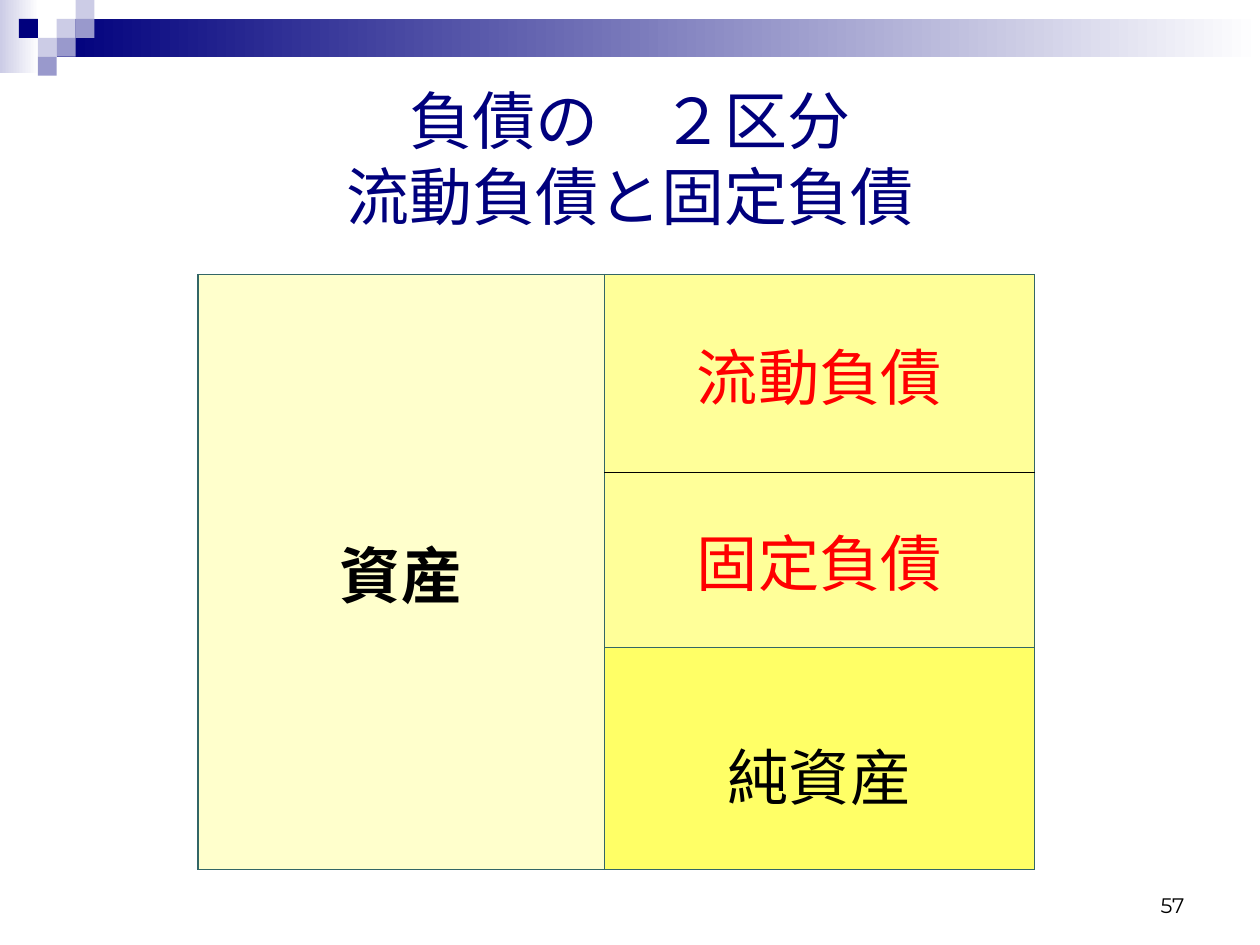
from pptx import Presentation
from pptx.dml.color import RGBColor
from pptx.enum.shapes import MSO_SHAPE as SHAPE
from pptx.enum.text import MSO_ANCHOR as ANCHOR, MSO_AUTO_SIZE as AUTO, PP_ALIGN as ALIGN
from pptx.oxml.ns import qn
from pptx.util import Inches, Pt
from lxml.etree import SubElement

NAVY, LILAC, MAUVE, TEAL = "00007D", "CCCCE6", "9999CC", "336666"
BLACK, WHITE, RED = "000000", "FFFFFF", "FF0000"


def rgb(value):
    return RGBColor.from_string(value)


class Deck:
    font = "Arial"

    def __init__(self):
        self.prs = Presentation()
        self.prs.slide_width, self.prs.slide_height = Inches(10), Inches(7.5)
        self.s = self.prs.slides.add_slide(self.prs.slide_layouts[5])

    def run(self, p, text, size, color, bold=False, font=None):
        r = p.add_run()
        r.text = text
        r.font.name = font or self.font
        r.font.size = Pt(size)
        r.font.bold = bold
        r.font.color.rgb = rgb(color)

    def title(self, lines, x, y, w, h):
        sp = self.s.shapes.title
        sp.left, sp.top, sp.width, sp.height = map(Inches, (x, y, w, h))
        tf = sp.text_frame
        tf.auto_size = AUTO.NONE
        tf.vertical_anchor = ANCHOR.MIDDLE
        p = tf.paragraphs[0]
        p.alignment = ALIGN.CENTER
        for i, line in enumerate(lines):
            if i:
                p.add_line_break()
            self.run(p, line, 36, NAVY)

    def rect(self, x, y, w, h, color, fade_to=None):
        sp = self.s.shapes.add_shape(SHAPE.RECTANGLE, *map(Inches, (x, y, w, h)))
        sp.shadow.inherit = False
        sp.line.fill.background()
        if fade_to:
            sp.fill.gradient()
            sp.fill.gradient_angle = 0
            for stop, value in zip(sp.fill.gradient_stops, (color, fade_to)):
                stop.color.rgb = rgb(value)
        else:
            sp.fill.solid()
            sp.fill.fore_color.rgb = rgb(color)

    def page_number(self, text, x, y, w, h):
        tf = self.s.shapes.add_textbox(*map(Inches, (x, y, w, h))).text_frame
        tf.word_wrap = True
        tf.vertical_anchor = ANCHOR.BOTTOM
        p = tf.paragraphs[0]
        p.alignment = ALIGN.RIGHT
        self.run(p, text, 12, BLACK, font="Montserrat")

    def table(self, x, y, widths, heights):
        size = map(Inches, (x, y, sum(widths), sum(heights)))
        tbl = self.s.shapes.add_table(len(heights), len(widths), *size).table
        tbl.first_row = tbl.horz_banding = False
        for col, w in zip(tbl.columns, widths):
            col.width = Inches(w)
        for row, h in zip(tbl.rows, heights):
            row.height = Inches(h)
        return tbl

    def cell(self, cell, borders, fill=None):
        tcPr = cell._tc.get_or_add_tcPr()
        for side in "LRTB":
            ln = SubElement(tcPr, qn(f"a:ln{side}"), w=str(Pt(1)))
            if side in borders:
                solid = SubElement(ln, qn("a:solidFill"))
                SubElement(solid, qn("a:srgbClr"), val=borders[side])
            else:
                SubElement(ln, qn("a:noFill"))
        if fill:
            cell.fill.solid()
            cell.fill.fore_color.rgb = rgb(fill)
        else:
            cell.fill.background()

    def cell_text(self, cell, text, color, bold=False):
        cell.vertical_anchor = ANCHOR.MIDDLE
        p = cell.text_frame.paragraphs[0]
        p.alignment = ALIGN.CENTER
        self.run(p, text, 35, color, bold)


def main():
    deck = Deck()

    deck.rect(0, 0, 0.31, 0.58, LILAC, WHITE)
    deck.rect(0.45, 0.15, 9.55, 0.3, NAVY, WHITE)
    tile = 0.15
    for col, row, color in [(3, 1, LILAC), (4, 0, LILAC), (4, 1, MAUVE), (2, 2, LILAC),
                            (1, 1, NAVY), (3, 2, MAUVE), (2, 3, MAUVE)]:
        deck.rect(col * tile, row * tile, tile, tile, color)

    deck.page_number("57", 7.17, 6.83, 2.33, 0.5)
    deck.title(["負債の\u3000２区分".replace("\u3000", "　"), "流動負債と固定負債"], 0.5, 0.5, 9, 1.5)

    tbl = deck.table(-0.24, 2.18, [1.81, 3.23, 3.41, 1.78], [1.57, 1.39, 1.76])
    box = dict.fromkeys("LRTB", TEAL)
    for col, borders, fill in [(0, {"R": TEAL}, None), (1, box, "FFFFCC"), (3, {"L": TEAL}, None)]:
        for row in range(3):
            deck.cell(tbl.cell(row, col), borders, fill)
        tbl.cell(0, col).merge(tbl.cell(2, col))
    deck.cell_text(tbl.cell(0, 1), "資産", BLACK, True)

    parts = [("流動負債", RED, "FFFF99", {"B": BLACK}),
             ("固定負債", RED, "FFFF99", {"T": BLACK}),
             ("純資産", BLACK, "FFFF66", {})]
    for row, (text, color, fill, edges) in enumerate(parts):
        deck.cell(tbl.cell(row, 2), {**box, **edges}, fill)
        deck.cell_text(tbl.cell(row, 2), text, color)
    tbl.cell(2, 2).margin_top = Inches(0.3)

    deck.prs.save("out.pptx")


if __name__ == "__main__":
    main()
